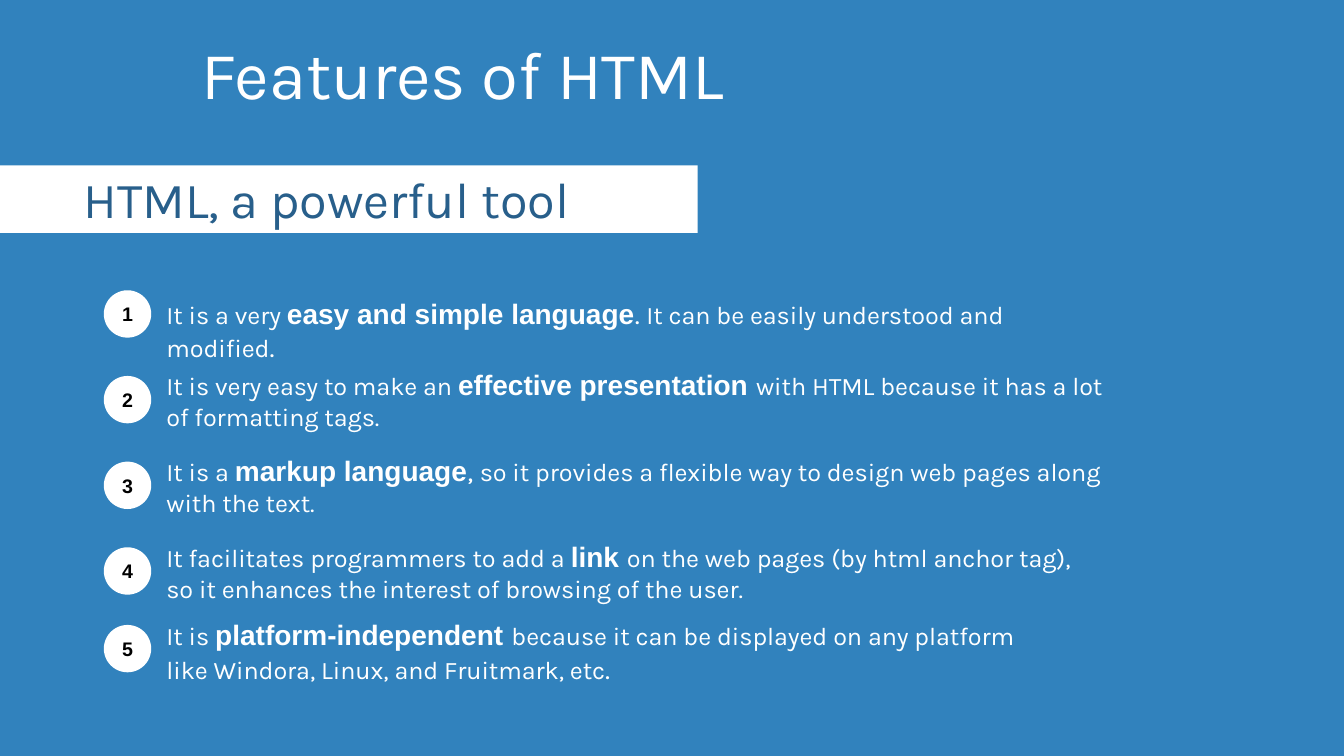
from dataclasses import dataclass
from pptx import Presentation
from pptx.dml.color import RGBColor
from pptx.enum.shapes import MSO_SHAPE
from pptx.enum.text import MSO_ANCHOR, MSO_AUTO_SIZE, PP_ALIGN
from pptx.util import Inches, Pt

RECTANGLE, OVAL = MSO_SHAPE.RECTANGLE, MSO_SHAPE.OVAL
TOP, MIDDLE = MSO_ANCHOR.TOP, MSO_ANCHOR.MIDDLE
LEFT, CENTER = PP_ALIGN.LEFT, PP_ALIGN.CENTER
NO_AUTOFIT = MSO_AUTO_SIZE.NONE


@dataclass(frozen=True)
class Theme:
    blue: RGBColor = RGBColor(0x31, 0x82, 0xBD)
    navy: RGBColor = RGBColor(0x28, 0x5F, 0x8B)
    white: RGBColor = RGBColor(0xFF, 0xFF, 0xFF)
    black: RGBColor = RGBColor(0x00, 0x00, 0x00)
    body_font: str = "Karla"
    strong_font: str = "Arial"
    title_size: int = 48
    subtitle_size: int = 36
    strong_size: int = 20
    body_size: int = 18
    number_size: int = 14


theme = Theme()
BODY = (theme.body_font, theme.body_size, False)
STRONG = (theme.strong_font, theme.strong_size, True)
MARK = (theme.body_font, theme.strong_size, False)
NUMBER = (theme.strong_font, theme.number_size, True)


def prepare_frame(shape, anchor=TOP):
    frame = shape.text_frame
    frame.word_wrap = True
    frame.auto_size = NO_AUTOFIT
    frame.vertical_anchor = anchor
    frame.margin_left = Inches(0.01)
    frame.margin_top = Inches(0.02)
    frame.margin_right = frame.margin_bottom = 0
    return frame


def add_run(paragraph, text, style, color):
    run = paragraph.add_run()
    run.text = text
    font_name, size, bold = style
    run.font.name = font_name
    run.font.size = Pt(size)
    run.font.bold = bold
    run.font.color.rgb = color
    if font_name == theme.body_font:
        run.font._element.set("spc", "-5")


presentation = Presentation()
presentation.slide_width = Inches(13.33)
presentation.slide_height = Inches(7.5)
slide = presentation.slides.add_slide(presentation.slide_layouts[5])
slide.background.fill.solid()
slide.background.fill.fore_color.rgb = theme.blue

title = slide.shapes.title
title.left, title.top = Inches(1.99), Inches(0.3)
title.width, title.height = Inches(5.41), Inches(0.83)
title_paragraph = prepare_frame(title).paragraphs[0]
title_paragraph.alignment = LEFT
add_run(title_paragraph, "Features of HTML", (theme.body_font, theme.title_size, False), theme.white)

banner = slide.shapes.add_shape(RECTANGLE, 0, Inches(1.64), Inches(6.92), Inches(0.67))
banner.shadow.inherit = False
banner.fill.solid()
banner.fill.fore_color.rgb = theme.white
banner.line.fill.background()

subtitle = slide.shapes.add_textbox(Inches(0.82), Inches(1.65), Inches(4.92), Inches(0.63))
subtitle_paragraph = prepare_frame(subtitle).paragraphs[0]
add_run(subtitle_paragraph, "HTML, a powerful tool", (theme.body_font, theme.subtitle_size, False), theme.navy)

badge_tops = [2.88, 3.73, 4.58, 5.43, 6.2]
for number, top in enumerate(badge_tops, start=1):
    badge = slide.shapes.add_shape(OVAL, Inches(1.03), Inches(top), Inches(0.47), Inches(0.47))
    badge.shadow.inherit = False
    badge.fill.solid()
    badge.fill.fore_color.rgb = theme.white
    badge.line.fill.background()
    badge_frame = prepare_frame(badge, MIDDLE)
    badge_frame.margin_left = badge_frame.margin_top = 0
    badge_frame.paragraphs[0].alignment = CENTER
    add_run(badge_frame.paragraphs[0], str(number), NUMBER, theme.black)

simple_language = [
    ("It is a very ", BODY), ("easy and simple language", STRONG), (". ", MARK),
    ("It can be easily understood and modified", BODY), (".", MARK),
]
presentation_tool = [
    ("It is very easy to make an ", BODY), ("effective presentation ", STRONG),
    ("with HTML because it has a lot of formatting tags.", BODY),
]
markup_language = [
    ("It is a ", BODY), ("markup language", STRONG), (", ", MARK),
    ("so it provides a flexible way to design web pages along with the text.", BODY),
]
links = [
    ("It facilitates programmers to add a ", BODY), ("link ", STRONG),
    ("on the web pages (by html anchor tag), so it enhances the interest of browsing of the user.", BODY),
]
platforms = [
    ("It is ", BODY), ("platform-independent ", STRONG),
    ("because it can be displayed on any platform like Windora, Linux, and Fruitmark, etc", BODY), (".", MARK),
]

feature_boxes = [
    (2.92, 9.39, 0.36, [(simple_language, 0, 0)]),
    (3.63, 9.56, 0.66, [(presentation_tool, 0, 0)]),
    (4.48, 9.75, 2.32, [(markup_language, 0, 0), (links, 15.7, 0.5), (platforms, 10.1, 1)]),
]
for top, width, height, features in feature_boxes:
    box = slide.shapes.add_textbox(Inches(1.64), Inches(top), Inches(width), Inches(height))
    frame = prepare_frame(box)
    for index, (segments, space_before, right_indent) in enumerate(features):
        paragraph = frame.add_paragraph() if index else frame.paragraphs[0]
        if index:
            paragraph.space_before = Pt(space_before)
            paragraph._p.get_or_add_pPr().set("marR", str(Inches(right_indent)))
        for text, style in segments:
            add_run(paragraph, text, style, theme.white)

presentation.save("out.pptx")
